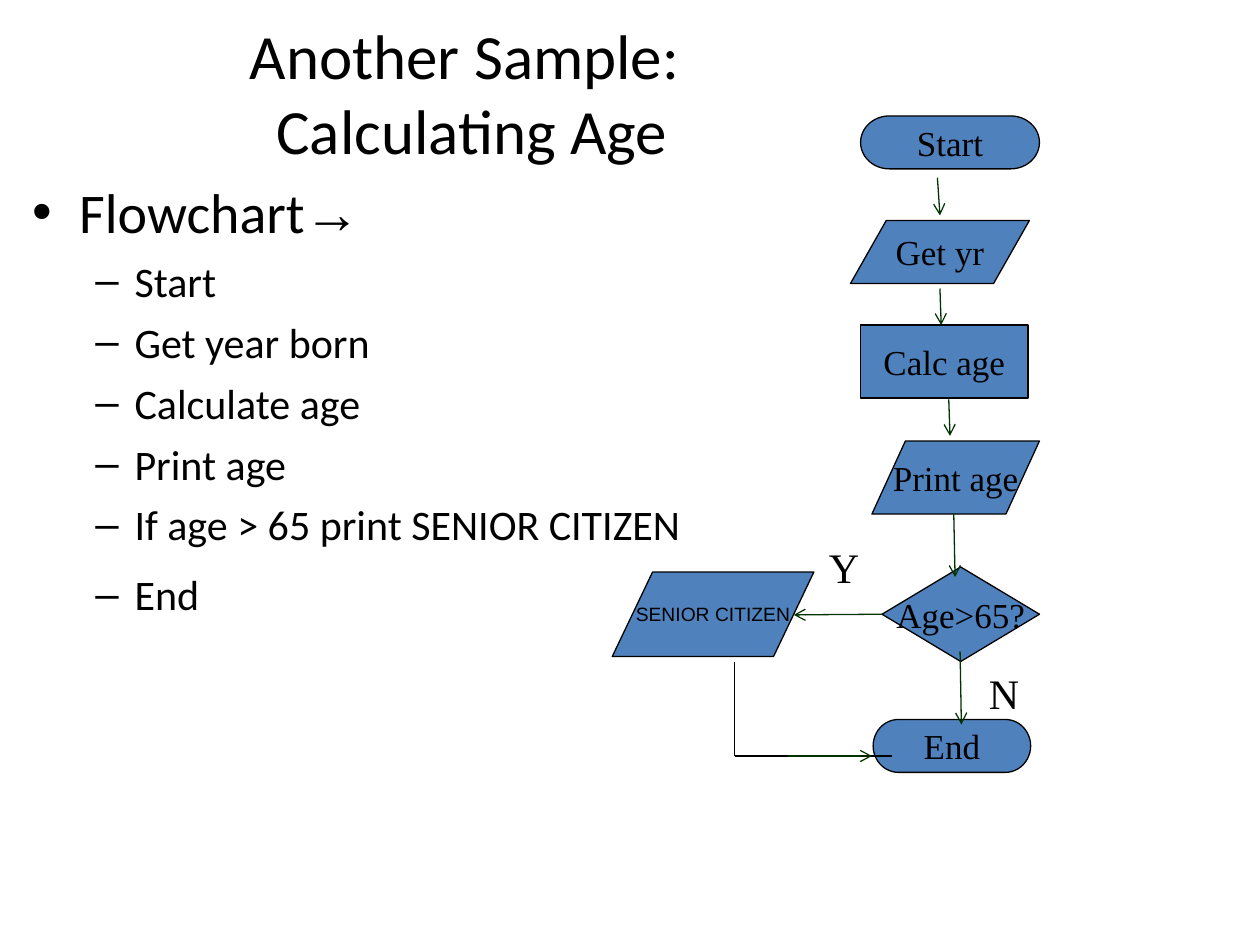
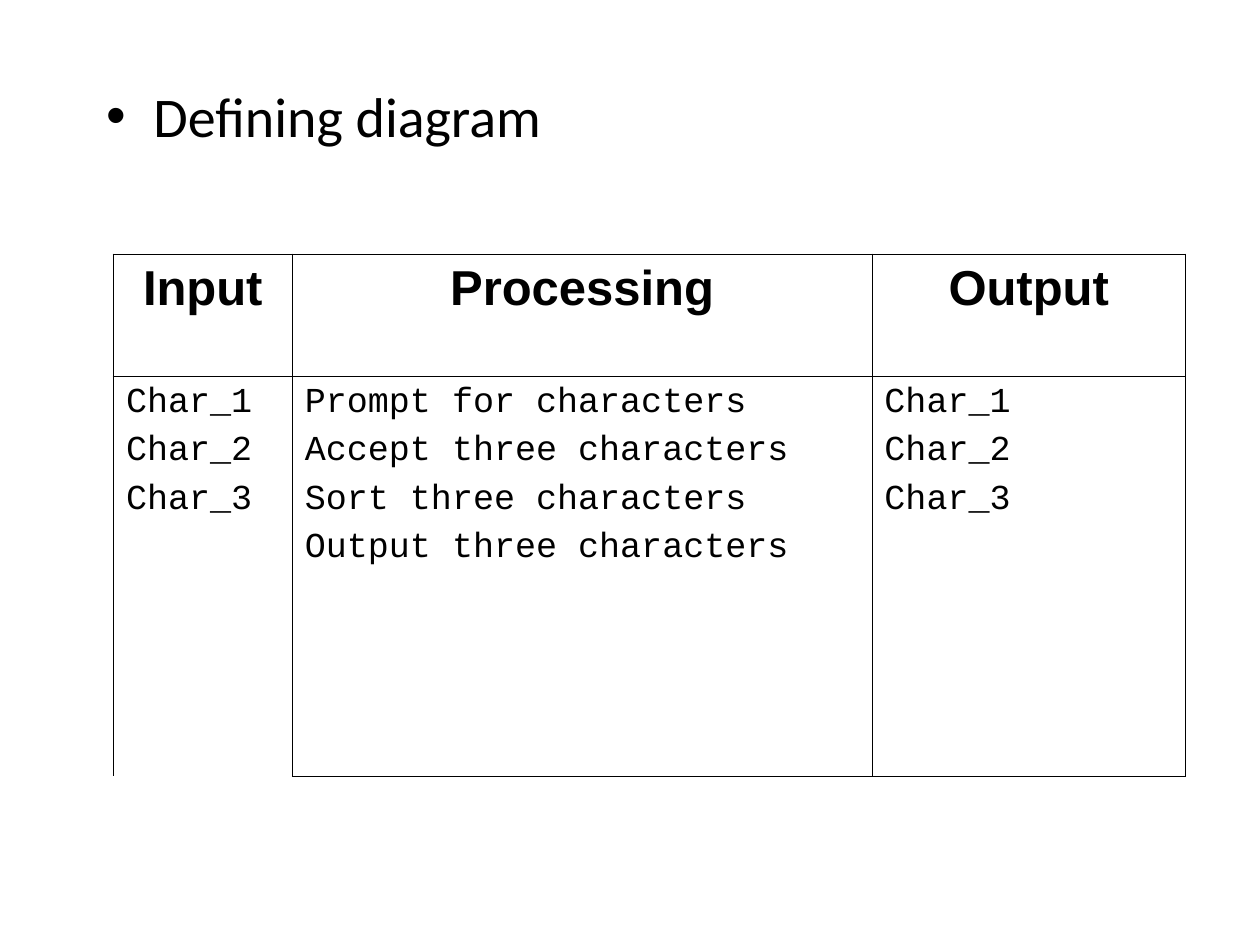
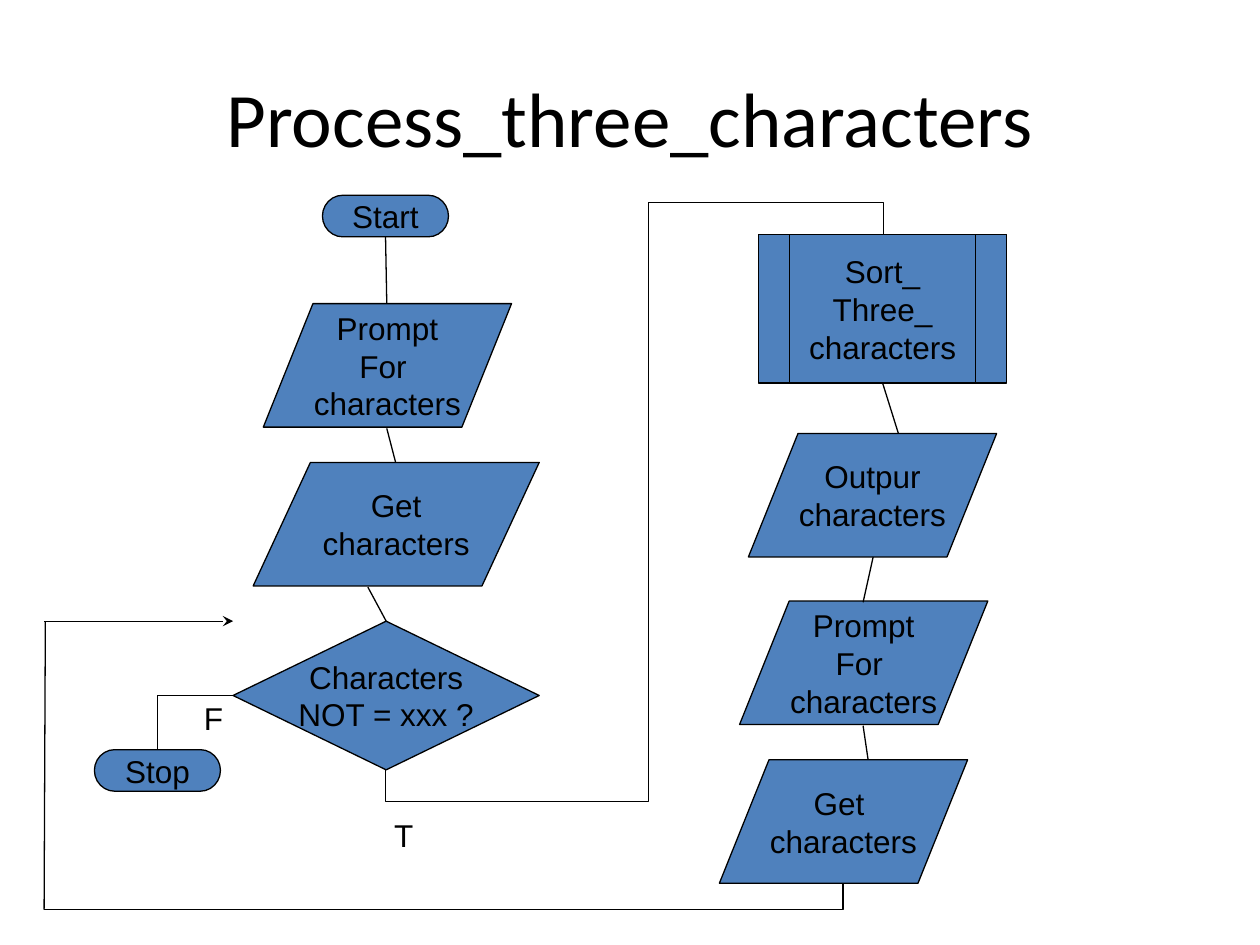
from dataclasses import dataclass
from typing import Any, Optional

from lxml.etree import SubElement
from pptx import Presentation
from pptx.dml.color import RGBColor
from pptx.enum.shapes import MSO_CONNECTOR, MSO_SHAPE
from pptx.enum.text import MSO_ANCHOR, MSO_AUTO_SIZE, PP_ALIGN
from pptx.oxml.ns import qn
from pptx.util import Pt

SCALE = 9144  # EMU in one px, 100 px to the inch

Box = tuple[int, int, int, int]
Point = tuple[int, int]
Joint = tuple[str, int]


@dataclass(frozen=True)
class Theme:
    ink: str = "000000"
    fill: str = "4F81BD"
    arrow: str = "003300"
    head: str = "Calibri"
    sans: str = "Arial"
    serif: str = "Times New Roman"
    mono: str = "Courier New"
    line: float = 0.75
    thick: float = 1.08
    thin: float = 0.45


THEME = Theme()


@dataclass(frozen=True)
class Type:
    font: str
    size: int
    bold: bool = False


@dataclass(frozen=True)
class Node:
    name: str
    kind: MSO_SHAPE
    box: Box
    text: tuple[str, ...]
    type: Type


@dataclass(frozen=True)
class Link:
    start: Point
    end: Point
    color: str = THEME.ink
    tip: str = ""
    source: Optional[Joint] = None
    target: Optional[Joint] = None


@dataclass(frozen=True)
class Elbow:
    """A bent connector; the box is the one before turning."""
    kind: str
    box: Box
    turn: int
    flip: str
    source: Joint
    target: Optional[Joint] = None
    bends: tuple[int, ...] = ()


@dataclass(frozen=True)
class Label:
    text: str
    box: Box
    type: Type
    wrap: bool = False


@dataclass(frozen=True)
class Item:
    text: str
    level: int = 0
    before: int = 6
    sign: str = ""


@dataclass(frozen=True)
class Level:
    type: Type
    mark: str
    left: int
    hang: int


SERIF = Type(THEME.serif, 20)
SANS = Type(THEME.sans, 18)
LEVELS = (Level(Type(THEME.head, 32), "•", 37, 37),
          Level(Type(THEME.head, 24), "–", 81, 31))

DATA = MSO_SHAPE.FLOWCHART_DATA
STEP = MSO_SHAPE.FLOWCHART_PROCESS
TEST = MSO_SHAPE.FLOWCHART_DECISION
CAP = MSO_SHAPE.FLOWCHART_TERMINATOR
CALL = MSO_SHAPE.FLOWCHART_PREDEFINED_PROCESS


def px(*nums: int) -> list[int]:
    return [num * SCALE for num in nums]


def rgb(code: str) -> RGBColor:
    return RGBColor.from_string(code)


def apply(target: Any, values: dict[str, Any]) -> None:
    for key, value in values.items():
        setattr(target, key, value)


def add_run(para: Any, text: str, kind: Type) -> None:
    run = para.add_run()
    run.text = text
    apply(run.font, {"name": kind.font, "size": Pt(kind.size), "bold": kind.bold})
    run.font.color.rgb = rgb(THEME.ink)


def write(frame: Any, lines: tuple[str, ...], kind: Type,
          align: PP_ALIGN = PP_ALIGN.LEFT, before: int = 0) -> None:
    """Put each line in a paragraph of its own."""
    for row, line in enumerate(lines):
        para = frame.add_paragraph() if row else frame.paragraphs[0]
        apply(para, {"alignment": align, "space_before": Pt(before)})
        add_run(para, line, kind)


def add_title(slide: Any, box: Box, lines: tuple[str, ...], size: int) -> None:
    frame = slide.shapes.add_textbox(*px(*box)).text_frame
    apply(frame, {"word_wrap": True, "vertical_anchor": MSO_ANCHOR.MIDDLE})
    para = frame.paragraphs[0]
    para.alignment = PP_ALIGN.CENTER
    for row, line in enumerate(lines):
        if row:
            para.add_line_break()
        add_run(para, line, Type(THEME.head, size))


def add_list(slide: Any, box: Box, items: tuple[Item, ...]) -> None:
    frame = slide.shapes.add_textbox(*px(*box)).text_frame
    frame.word_wrap = True
    for row, item in enumerate(items):
        level = LEVELS[item.level]
        para = frame.add_paragraph() if row else frame.paragraphs[0]
        apply(para, {"level": item.level, "space_before": Pt(item.before)})
        add_run(para, item.text, level.type)
        if item.sign:
            add_run(para, item.sign, Type(THEME.sans, level.type.size))
        props = para._p.get_or_add_pPr()
        props.set("marL", str(level.left * SCALE))
        props.set("indent", str(-level.hang * SCALE))
        tint = SubElement(props, qn("a:buClr"))
        SubElement(tint, qn("a:srgbClr"), val=THEME.ink)
        SubElement(props, qn("a:buFont"), typeface=THEME.sans)
        SubElement(props, qn("a:buChar"), char=level.mark)


def add_node(slide: Any, node: Node) -> Any:
    shape = slide.shapes.add_shape(node.kind, *px(*node.box))
    shape.shadow.inherit = False
    shape.fill.solid()
    shape.fill.fore_color.rgb = rgb(THEME.fill)
    shape.line.color.rgb = rgb(THEME.ink)
    shape.line.width = Pt(THEME.line)
    apply(shape.text_frame, {"word_wrap": False, "vertical_anchor": MSO_ANCHOR.MIDDLE})
    write(shape.text_frame, node.text, node.type, PP_ALIGN.CENTER)
    return shape


def ink_line(line: Any, color: str, tip: str = "") -> None:
    line.line.color.rgb = rgb(color)
    line.line.width = Pt(THEME.line)
    if tip:
        SubElement(line.line._get_or_add_ln(), qn("a:tailEnd"), type=tip)
    SubElement(line._element.spPr, qn("a:effectLst"))


def add_link(slide: Any, link: Link, shapes: dict[str, Any]) -> None:
    line = slide.shapes.add_connector(MSO_CONNECTOR.STRAIGHT, *px(*link.start, *link.end))
    if link.source:
        line.begin_connect(shapes[link.source[0]], link.source[1])
    if link.target:
        line.end_connect(shapes[link.target[0]], link.target[1])
    ink_line(line, link.color, link.tip)


def add_elbow(slide: Any, elbow: Elbow, shapes: dict[str, Any]) -> None:
    line = slide.shapes.add_connector(MSO_CONNECTOR.ELBOW, 0, 0, SCALE, SCALE)
    name, site = elbow.source
    line.begin_connect(shapes[name], site % 4)
    # a slanted box has six sites, so the index may pass 3
    next(line._element.iter(qn("a:stCxn"))).set("idx", str(site))
    if elbow.target:
        line.end_connect(shapes[elbow.target[0]], elbow.target[1])
    apply(line, dict(zip(("left", "top", "width", "height"), px(*elbow.box))))
    props = line._element.spPr
    frame = props.find(qn("a:xfrm"))
    frame.set("rot", str(elbow.turn * 60000))
    for side in "hv":
        frame.set(f"flip{side.upper()}", str(int(side in elbow.flip)))
    shape = props.find(qn("a:prstGeom"))
    shape.set("prst", elbow.kind)
    guides = shape.find(qn("a:avLst"))
    for rank, bend in enumerate(elbow.bends, 1):
        SubElement(guides, qn("a:gd"), name=f"adj{rank}", fmla=f"val {bend}")
    ink_line(line, THEME.ink)


def add_label(slide: Any, label: Label) -> None:
    frame = slide.shapes.add_textbox(*px(*label.box)).text_frame
    apply(frame, {"word_wrap": label.wrap, "auto_size": MSO_AUTO_SIZE.SHAPE_TO_FIT_TEXT})
    write(frame, (label.text,), label.type)


def add_chart(slide: Any, nodes: tuple[Node, ...], links: tuple[Link, ...],
              labels: tuple[Label, ...], elbows: tuple[Elbow, ...] = ()) -> None:
    """Draw a whole flowchart."""
    shapes = {node.name: add_node(slide, node) for node in nodes}
    for link in links:
        add_link(slide, link, shapes)
    for elbow in elbows:
        add_elbow(slide, elbow, shapes)
    for label in labels:
        add_label(slide, label)


def set_edges(cell: Any, edges: dict[str, float]) -> None:
    """Rule the sides of a cell; a width of 0 hides one."""
    props = cell._tc.get_or_add_tcPr()
    for spot, side in enumerate("LRTB"):
        width = edges[side]
        edge = SubElement(props, qn(f"a:ln{side}"), w=str(int(Pt(width))))
        if width:
            paint = SubElement(edge, qn("a:solidFill"))
            SubElement(paint, qn("a:srgbClr"), val=THEME.ink)
        else:
            SubElement(edge, qn("a:noFill"))
        props.insert(spot, edge)


def add_grid(slide: Any, spot: Point, wide: tuple[int, ...], high: tuple[int, ...],
             heads: tuple[str, ...], bodies: tuple[tuple[str, ...], ...]) -> None:
    """Table with one head row and a body that runs over the rest."""
    table = slide.shapes.add_table(len(high), len(wide),
                                   *px(*spot, sum(wide), sum(high))).table
    apply(table, {"first_row": False, "horz_banding": False})
    for col, size in zip(table.columns, px(*wide)):
        col.width = size
    for row, size in zip(table.rows, px(*high)):
        row.height = size
    last_row, last_col = len(high) - 1, len(wide) - 1
    thick, thin = THEME.thick, THEME.thin
    for row in range(len(high)):
        for col in range(len(wide)):
            cell = table.cell(row, col)
            cell.fill.background()
            set_edges(cell, {
                "L": thin if col else thick,
                "R": thick if col == last_col else thin,
                "T": {0: thick, 1: thin}.get(row, 0),
                "B": {0: thin, last_row: thick}.get(row, 0)})
    table.cell(1, 0).merge(table.cell(last_row, 0))
    for col, (head, body) in enumerate(zip(heads, bodies)):
        write(table.cell(0, col).text_frame, (head,), Type(THEME.sans, 28, True),
              PP_ALIGN.CENTER, 7)
        write(table.cell(1, col).text_frame, body, Type(THEME.mono, 20), before=5)


def draw_age(slide: Any) -> None:
    add_title(slide, (86, 13, 577, 120), ("Another Sample: ", "Calculating Age"), 36)
    steps = ("Start", "Get year born", "Calculate age", "Print age",
             "If age > 65 print SENIOR CITIZEN")
    add_list(slide, (16, 136, 900, 495),
             (Item("Flowchart", 0, 8, "→"), *(Item(step, 1) for step in steps),
              Item("End", 1, 11)))
    nodes = (
        Node("get", DATA, (675, 175, 142, 50), ("Get yr",), SERIF),
        Node("calc", STEP, (683, 258, 133, 58), ("Calc age",), SERIF),
        Node("print", DATA, (692, 350, 133, 58), ("Print age",), SERIF),
        Node("test", TEST, (700, 450, 125, 75), ("Age>65?",), SERIF),
        Node("senior", DATA, (486, 454, 160, 67), ("SENIOR CITIZEN",),
             Type(THEME.sans, 11)),
        Node("start", CAP, (683, 92, 142, 42), ("Start",), SERIF),
        Node("end", CAP, (693, 571, 125, 42), ("End",), SERIF))
    arrows = (((625, 600), (692, 600)), ((762, 517), (763, 575)),
              ((757, 408), (758, 458)), ((753, 317), (754, 346)),
              ((746, 229), (747, 258)), ((744, 141), (746, 171)))
    links = (Link((583, 525), (583, 600)), Link((583, 600), (708, 600)),
             Link((700, 487), (630, 488), THEME.arrow, "arrow", ("test", 1)),
             *(Link(start, end, THEME.arrow, "arrow") for start, end in arrows))
    mark = Type(THEME.serif, 24)
    add_chart(slide, nodes, links, (Label("Y", (648, 425, 44, 50), mark),
                                    Label("N", (775, 525, 20, 50), mark, True)))


def draw_plan(slide: Any) -> None:
    add_list(slide, (75, 60, 850, 607), (Item("Defining diagram", 0, 8),))
    chars = ("Char_1", "Char_2", "Char_3")
    work = ("Prompt for characters", "Accept three characters",
            "Sort three characters", "Output three characters")
    add_grid(slide, (90, 202), (142, 460, 249), (97, 164, 96, 57),
             ("Input", "Processing", "Output"), (chars, work, chars))


def draw_sort(slide: Any) -> None:
    add_title(slide, (50, 30, 900, 125), ("Process_three_characters",), 44)
    wide, high = 197, 98
    prompt = ("Prompt", "For ", "characters")
    nodes = (
        Node("start", CAP, (256, 155, 100, 33), ("Start",), SANS),
        Node("ask", DATA, (209, 241, wide, high), prompt, SANS),
        Node("sort", CALL, (602, 186, wide, 118), ("Sort_", "Three_", "characters"), SANS),
        Node("show", DATA, (594, 344, wide, high), ("Outpur", "characters"), SANS),
        Node("next", DATA, (571, 603, wide, high), ("Get ", "characters"), SANS),
        Node("again", DATA, (587, 477, wide, high), prompt, SANS),
        Node("get", DATA, (201, 367, 227, high), ("Get", "characters"), SANS),
        Node("stop", CAP, (75, 595, 100, 33), ("Stop",), SANS),
        Node("test", TEST, (185, 493, 243, 118), ("Characters", "NOT = xxx ?"), SANS))
    links = (
        Link((306, 188), (307, 241), source=("start", 2)),
        Link((307, 340), (314, 367)),
        Link((292, 466), (306, 493), target=("test", 0)),
        Link((701, 304), (713, 344), source=("sort", 2)),
        Link((693, 442), (685, 478)),
        Link((685, 576), (689, 603)),
        Link((35, 722), (36, 493)),
        Link((35, 493), (185, 493), tip="stealth"))
    elbows = (
        Elbow("bentConnector2", (125, 552, 60, 43), 180, "v", ("test", 1), ("stop", 0)),
        Elbow("bentConnector5", (291, 201, 425, 395), 90, "hv", ("test", 2), ("sort", 0),
              (-5900, 52900, 105900)),
        Elbow("bentConnector2", (342, 395, 20, 634), 90, "", ("next", 4)))
    add_chart(slide, nodes, links, (Label("F", (152, 550, 35, 40), SANS),
                                    Label("T", (303, 643, 35, 40), SANS)), elbows)


def main() -> None:
    deck = Presentation()
    deck.slide_width, deck.slide_height = px(1000, 750)
    for draw in (draw_age, draw_plan, draw_sort):
        draw(deck.slides.add_slide(deck.slide_layouts[6]))
    deck.save("out.pptx")


if __name__ == "__main__":
    main()
